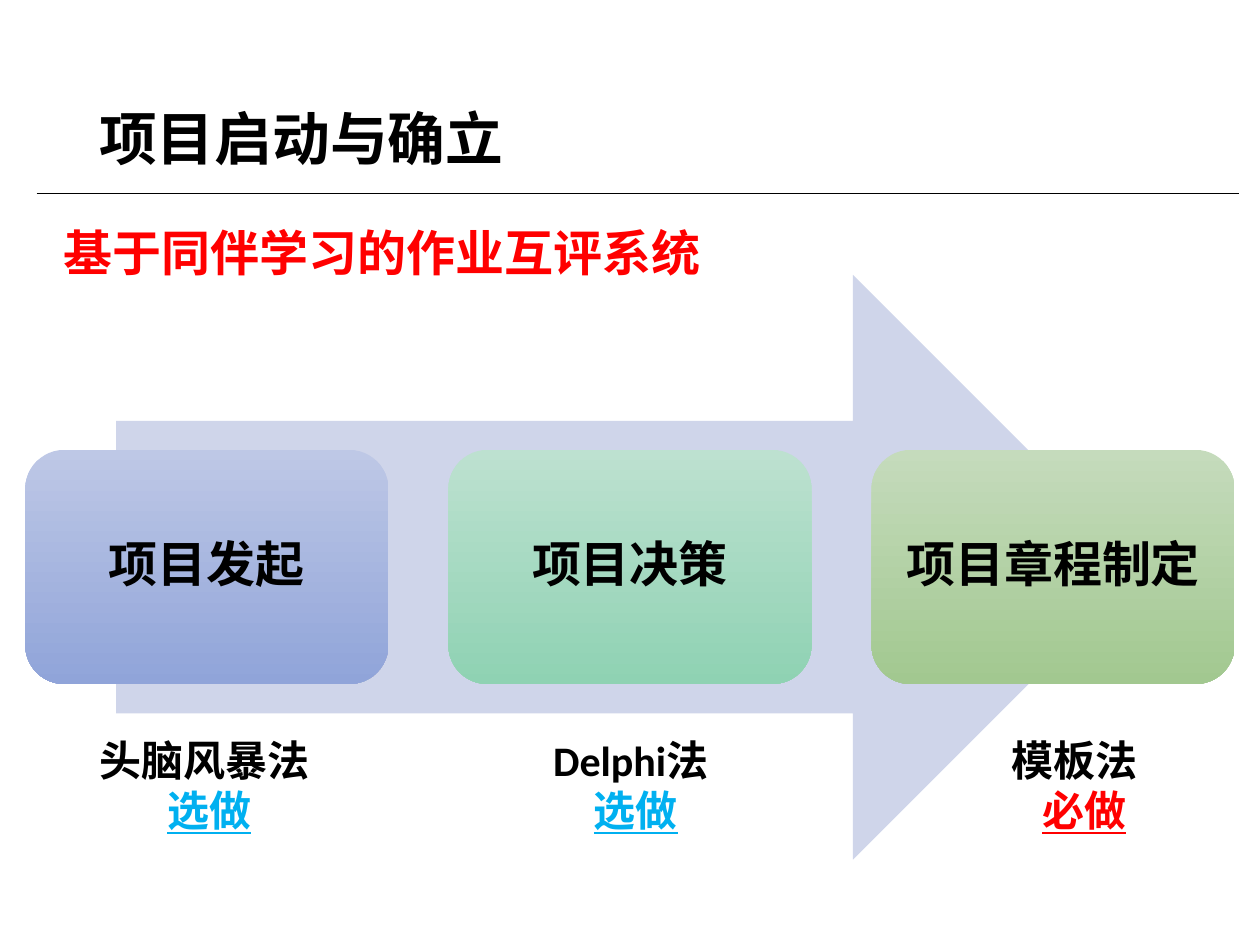
from lxml.etree import SubElement
from pptx import Presentation
from pptx.dml.color import RGBColor
from pptx.enum.shapes import MSO_CONNECTOR, MSO_SHAPE
from pptx.enum.text import MSO_ANCHOR, PP_ALIGN
from pptx.oxml.ns import qn
from pptx.util import Cm, Pt

FONT = "Calibri"
BLACK = RGBColor(0x00, 0x00, 0x00)
RED = RGBColor(0xFF, 0x00, 0x00)
SKY = RGBColor(0x00, 0xB0, 0xF0)
ARROW_FILL = RGBColor(0xCF, 0xD5, 0xEA)
BLUE_SHADES = (RGBColor(0xBE, 0xC8, 0xE6), RGBColor(0x90, 0xA4, 0xD9))
TEAL_SHADES = (RGBColor(0xBD, 0xE1, 0xD0), RGBColor(0x8F, 0xD2, 0xB3))
GREEN_SHADES = (RGBColor(0xC5, 0xDB, 0xBC), RGBColor(0xA2, 0xC8, 0x90))

STEPS = [("项目发起", BLUE_SHADES), ("项目决策", TEAL_SHADES),
         ("项目章程制定", GREEN_SHADES)]
STEP_LEFT, STEP_PITCH = 0.51, 8.53

# left, width, left inset, method, requirement, requirement colour
METHODS = [(1.75, 4.93, 0.25, "头脑风暴法", "选做", SKY),
           (10.9, 3.84, 0.25, "Delphi法", "选做", SKY),
           (19.94, 3.63, 0.45, "模板法", "必做", RED)]


def style(para, size, color=BLACK, align=PP_ALIGN.LEFT):
    """Set the bold slide font and the alignment of a paragraph."""
    para.alignment = align
    para.font.name = FONT
    para.font.size = Pt(size)
    para.font.bold = True
    para.font.color.rgb = color


def add_text(page, left, top, width, height, text, size, color=BLACK):
    """Add a wrapping text box and return its frame."""
    box = page.shapes.add_textbox(Cm(left), Cm(top), Cm(width), Cm(height))
    frame = box.text_frame
    frame.word_wrap = True
    frame.text = text
    style(frame.paragraphs[0], size, color)
    return frame


def add_plain_shape(page, kind, left, top, width, height):
    """Add a preset shape without outline or shadow."""
    shape = page.shapes.add_shape(kind, Cm(left), Cm(top), Cm(width), Cm(height))
    shape.shadow.inherit = False
    shape.line.fill.background()
    return shape


def add_step(page, left, text, shades):
    """Add a rounded process step with a vertical gradient."""
    step = add_plain_shape(page, MSO_SHAPE.ROUNDED_RECTANGLE, left, 9.07, 7.32, 4.72)
    step.fill.gradient()
    step.fill.gradient_angle = 270
    for stop, shade, position in zip(step.fill.gradient_stops, shades, (0, 1)):
        stop.color.rgb = shade
        stop.position = position
    frame = step.text_frame
    frame.word_wrap = True
    frame.vertical_anchor = MSO_ANCHOR.MIDDLE
    frame.margin_left = frame.margin_right = Cm(0.3)
    frame.text = text
    para = frame.paragraphs[0]
    style(para, 28, align=PP_ALIGN.CENTER)
    para.line_spacing = 0.9


def add_method(page, left, width, inset, method, requirement, color):
    """Add a method name with its underlined requirement below."""
    frame = add_text(page, left, 14.68, width, 2.31, method, 24)
    frame.margin_left = Cm(inset)
    para = frame.add_paragraph()
    para.text = requirement
    style(para, 24, color, PP_ALIGN.CENTER)
    para.font.underline = True


def add_rule(page, left, right, top):
    """Add a thin horizontal rule."""
    rule = page.shapes.add_connector(
        MSO_CONNECTOR.STRAIGHT, Cm(left), Cm(top), Cm(right), Cm(top))
    rule.line.color.rgb = BLACK
    rule.line.width = Pt(0.5)
    SubElement(rule._element.spPr, qn("a:effectLst"))


def main():
    """Build the slide and save it."""
    deck = Presentation()
    deck.slide_width, deck.slide_height = Cm(25.4), Cm(19.05)
    page = deck.slides.add_slide(deck.slide_layouts[6])

    title = add_text(page, 1.75, 1.02, 21.89, 3.68, "项目启动与确立", 33)
    title.vertical_anchor = MSO_ANCHOR.MIDDLE
    title.paragraphs[0].line_spacing = 0.9

    arrow = add_plain_shape(page, MSO_SHAPE.RIGHT_ARROW, 2.34, 5.54, 20.75, 11.79)
    arrow.fill.solid()
    arrow.fill.fore_color.rgb = ARROW_FILL

    for index, (text, shades) in enumerate(STEPS):
        add_step(page, STEP_LEFT + index * STEP_PITCH, text, shades)
    for method in METHODS:
        add_method(page, *method)

    add_rule(page, 0.74, 24.97, 3.89)
    topic = add_text(page, 1.04, 4.37, 14.35, 1.45, "基于同伴学习的作业互评系统", 28, RED)
    topic.paragraphs[0].space_before = topic.paragraphs[0].space_after = Pt(6)
    deck.save("out.pptx")


main()
